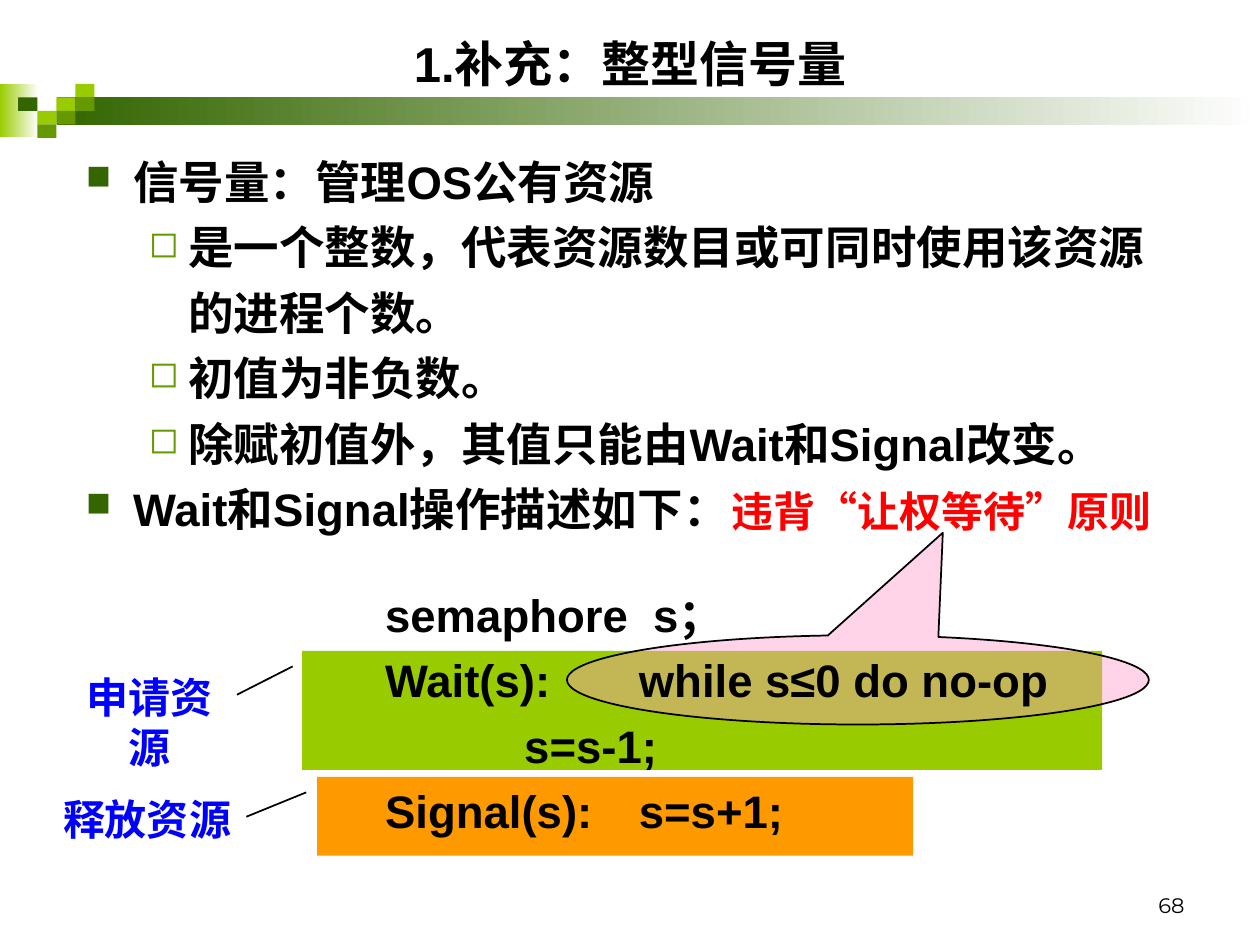
"""Build a slide that explains integer semaphores and their Wait and Signal operations."""
from typing import NamedTuple, Optional

from lxml.etree import SubElement
from pptx import Presentation
from pptx.dml.color import RGBColor
from pptx.enum.shapes import MSO_CONNECTOR as Connector, MSO_SHAPE as Shape
from pptx.enum.text import MSO_ANCHOR as Anchor, PP_ALIGN as Align
from pptx.oxml.ns import qn
from pptx.util import Pt

BLACK = RGBColor(0x00, 0x00, 0x00)
WHITE = RGBColor(0xFF, 0xFF, 0xFF)
BLUE = RGBColor(0x00, 0x00, 0xFF)
RED = RGBColor(0xFF, 0x00, 0x00)
LIME = RGBColor(0x99, 0xCC, 0x00)
GREEN = RGBColor(0x66, 0x99, 0x00)
FOREST = RGBColor(0x33, 0x66, 0x00)
ORANGE = RGBColor(0xFF, 0x99, 0x00)
PINK = RGBColor(0xFF, 0x99, 0xCC)

CELL_WIDTH, CELL_HEIGHT = 10.9, 7.7
MOSAIC_LEFT, MOSAIC_TOP = 10.4, 48


class Frame(NamedTuple):
    left: float
    top: float
    width: float
    height: float


class Tile(NamedTuple):
    column: int
    row: int
    color: RGBColor


class Bullet(NamedTuple):
    char: str
    color: RGBColor
    percent: int
    indent: float
    hanging: float
    level: int


class Line(NamedTuple):
    text: str
    bullet: Optional[Bullet] = None


class Note(NamedTuple):
    frame: Frame
    fill: RGBColor
    leader: tuple
    label: str
    label_frame: Frame


TOPIC = Bullet("■", FOREST, 75, 27, 27, 0)
DETAIL = Bullet("◻", GREEN, 80, 58.5, 22.5, 1)

TILES = [
    Tile(2, 1, LIME), Tile(3, 0, LIME), Tile(3, 1, GREEN), Tile(1, 2, LIME),
    Tile(0, 1, FOREST), Tile(2, 2, GREEN), Tile(1, 3, GREEN),
]
NOTES = [
    Note(Frame(172.6, 372, 457.2, 68), LIME, (135.4, 397, 167.3, 380.8),
         "申请资源", Frame(30.5, 380, 110, 36)),
    Note(Frame(181.2, 444, 340.6, 45), ORANGE, (140.8, 466.7, 175, 452.8),
         "释放资源", Frame(24, 450, 120, 36)),
]
POINTS = [
    Line("信号量：管理OS公有资源", TOPIC),
    Line("是一个整数，代表资源数目或可同时使用该资源的进程个数。", DETAIL),
    Line("初值为非负数。", DETAIL),
    Line("除赋初值外，其值只能由Wait和Signal改变。", DETAIL),
    Line("Wait和Signal操作描述如下：", TOPIC),
]
CODE = [
    Line("\tsemaphore  s；"),
    Line("\tWait(s):\twhile s≤0 do no-op"),
    Line("\t\ts=s-1;"),
    Line("\tSignal(s):\ts=s+1;"),
]
CODE_STOPS = (171, 250.5, 316)


def add_block(page, frame: Frame, color: RGBColor, kind=Shape.RECTANGLE, fade: bool = False):
    """Draw a borderless shape, either solid or fading to white."""
    block = page.shapes.add_shape(kind, *map(Pt, frame))
    block.shadow.inherit = False
    block.line.fill.background()
    if fade:
        block.fill.gradient()
        block.fill.gradient_angle = 0
        for stop, shade in zip(block.fill.gradient_stops, (color, WHITE)):
            stop.color.rgb = shade
    else:
        block.fill.solid()
        block.fill.fore_color.rgb = color
    return block


def add_leader(page, ends: tuple) -> None:
    """Draw a thin black line from a label to its block."""
    leader = page.shapes.add_connector(Connector.STRAIGHT, *map(Pt, ends))
    leader.line.color.rgb = BLACK
    leader.line.width = Pt(1)
    SubElement(leader._element.spPr, qn("a:effectLst"))


def set_bullet(para, bullet: Bullet) -> None:
    """Give a paragraph its bullet and hanging indent."""
    para.level = bullet.level
    props = para._p.get_or_add_pPr()
    props.set("marL", str(Pt(bullet.indent)))
    props.set("indent", str(-Pt(bullet.hanging)))
    color = SubElement(props, qn("a:buClr"))
    SubElement(color, qn("a:srgbClr"), val=str(bullet.color))
    SubElement(props, qn("a:buSzPct"), val=str(bullet.percent * 1000))
    SubElement(props, qn("a:buChar"), char=bullet.char)


def set_stops(para, stops: tuple) -> None:
    """Give a paragraph its left tab stops."""
    tabs = SubElement(para._p.get_or_add_pPr(), qn("a:tabLst"))
    for stop in stops:
        SubElement(tabs, qn("a:tab"), pos=str(Pt(stop)), algn="l")


def add_text(page, frame: Frame, lines: list[Line], *, size: float, font: str = "Arial",
             color: RGBColor = BLACK, bold: bool = True, align=Align.LEFT,
             anchor=Anchor.TOP, spacing: float = 1.0, stops: tuple = ()) -> None:
    """Write lines of text in a box with one format."""
    box = page.shapes.add_textbox(*map(Pt, frame)).text_frame
    box.word_wrap = True
    box.vertical_anchor = anchor
    for index, line in enumerate(lines):
        para = box.add_paragraph() if index else box.paragraphs[0]
        if line.bullet:
            set_bullet(para, line.bullet)
        if stops:
            set_stops(para, stops)
        para.alignment = align
        para.line_spacing = spacing
        span = para.add_run()
        span.text = line.text
        span.font.size = Pt(size)
        span.font.name = font
        span.font.bold = bold
        span.font.color.rgb = color


def add_banner(page) -> None:
    """Draw the fading bars and the mosaic under the title."""
    add_block(page, Frame(0, 48, 22, 30.5), LIME, fade=True)
    add_block(page, Frame(32.4, 55.7, 687.6, 15.8), FOREST, fade=True)
    for tile in TILES:
        left = MOSAIC_LEFT + tile.column * CELL_WIDTH
        top = MOSAIC_TOP + tile.row * CELL_HEIGHT
        add_block(page, Frame(left, top, CELL_WIDTH, CELL_HEIGHT), tile.color)


def add_callout(page) -> None:
    """Draw the translucent callout around the busy-waiting loop."""
    callout = add_block(page, Frame(324, 363, 332.5, 51), PINK, Shape.OVAL_CALLOUT)
    callout.adjustments[0] = 0.146
    callout.adjustments[1] = -1.649
    callout.line.color.rgb = BLACK
    callout.line.width = Pt(1)
    shade = callout._element.spPr.find(qn("a:solidFill"))[0]
    SubElement(shade, qn("a:alpha"), val="42000")


def main() -> None:
    """Assemble and save the deck."""
    deck = Presentation()
    deck.slide_width, deck.slide_height = Pt(720), Pt(540)
    page = deck.slides.add_slide(deck.slide_layouts[6])
    add_banner(page)
    add_text(page, Frame(516, 492, 168, 36), [Line("68")], size=12, font="Montserrat",
             bold=False, align=Align.RIGHT, anchor=Anchor.BOTTOM)
    for note in NOTES:
        add_block(page, note.frame, note.fill)
        add_leader(page, note.leader)
        add_text(page, note.label_frame, [Line(note.label)], size=24,
                 font="Times New Roman", color=BLUE, align=Align.CENTER)
    add_callout(page)
    add_text(page, Frame(410, 274, 256, 36), [Line("违背“让权等待”原则")], size=24,
             font="Times New Roman", color=RED, align=Align.CENTER)
    add_text(page, Frame(36, 12, 648, 48), [Line("1.补充：整型信号量")], size=28,
             align=Align.CENTER, anchor=Anchor.MIDDLE)
    add_text(page, Frame(42, 78, 642, 264), POINTS, size=26, spacing=1.2)
    add_text(page, Frame(42, 325.5, 642, 166), CODE, size=26, spacing=1.2, stops=CODE_STOPS)
    deck.save("out.pptx")


if __name__ == "__main__":
    main()
